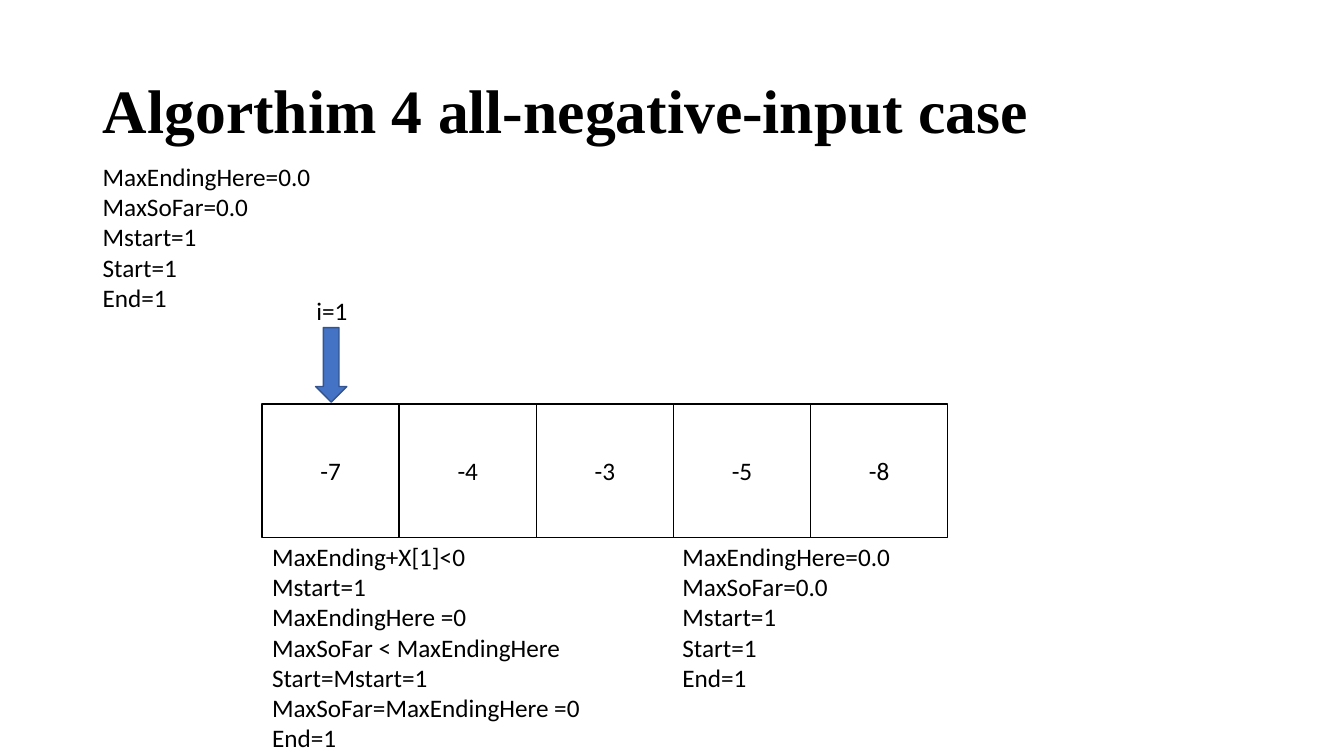
import pptx
import pptx.util
import pptx.dml.color
import pptx.enum.shapes
import pptx.enum.text

Inches = pptx.util.Inches
Pt = pptx.util.Pt
SHAPE = pptx.enum.shapes.MSO_SHAPE
ALIGN = pptx.enum.text.PP_ALIGN
ANCHOR = pptx.enum.text.MSO_ANCHOR
AUTO = pptx.enum.text.MSO_AUTO_SIZE

BODY = {"name": "Calibri", "size": Pt(18), "bold": False}
HEADING = {"name": "Times New Roman", "size": Pt(44), "bold": True}


def rgb(color):
    return pptx.dml.color.RGBColor.from_string(color)


def write(sp, lines, style, align=ALIGN.LEFT, anchor=ANCHOR.TOP, fit=AUTO.NONE):
    """Fill a shape with one formatted paragraph per line."""
    tf = sp.text_frame
    frame = {"word_wrap": True, "auto_size": fit, "vertical_anchor": anchor}
    for key, value in frame.items():
        setattr(tf, key, value)
    tf.text = "\n".join(lines)
    for p in tf.paragraphs:
        p.alignment = align
        for r in p.runs:
            for key, value in style.items():
                setattr(r.font, key, value)
            r.font.color.rgb = rgb("000000")


prs = pptx.Presentation()
prs.slide_width = Inches(13.33)
prs.slide_height = Inches(7.5)
s = prs.slides.add_slide(prs.slide_layouts[5])

title = s.shapes.title
title_box = {"left": 0.92, "top": 0.4, "width": 11.5, "height": 1.45}
for key, value in title_box.items():
    setattr(title, key, Inches(value))
write(title, ["Algorthim 4 all-negative-input case"], HEADING, anchor=ANCHOR.MIDDLE)
title.text_frame.paragraphs[0].line_spacing = 0.9

# Input array and the arrow at its current element
array_left, array_top, cell_w, cell_h = 2.6, 4.01, 1.36, 1.32
shapes = [
    (SHAPE.RECTANGLE, array_left + i * cell_w, array_top, cell_w, cell_h,
     "FFFFFF", "000000", value)
    for i, value in enumerate(["-7", "-4", "-3", "-5", "-8"])
]
shapes.append((SHAPE.DOWN_ARROW, 3.13, 3.25, 0.31, 0.74, "4472C4", "325491", ""))
for kind, left, top, width, height, fill, line, label in shapes:
    sp = s.shapes.add_shape(kind, Inches(left), Inches(top), Inches(width), Inches(height))
    sp.shadow.inherit = False
    sp.fill.solid()
    sp.fill.fore_color.rgb = rgb(fill)
    sp.line.color.rgb = rgb(line)
    sp.line.width = Pt(1)
    if label:
        write(sp, [label], BODY, ALIGN.CENTER, ANCHOR.MIDDLE)

# Variable values before, during and after the step
state = ["MaxEndingHere=0.0", "MaxSoFar=0.0", "Mstart=1", "Start=1", "End=1"]
step = [
    "MaxEnding+X[1]<0",
    "Mstart=1",
    "MaxEndingHere =0",
    "MaxSoFar < MaxEndingHere",
    "Start=Mstart=1",
    "MaxSoFar=MaxEndingHere =0",
    "End=1",
]
notes_top = 5.32
for left, top, width, height, lines in [
    (3.04, 2.88, 5.67, 0.4, ["i=1"]),
    (0.92, 1.55, 2.43, 1.62, state),
    (array_left, notes_top, 3.63, 2.22, step),
    (6.67, notes_top, 5.67, 1.62, state),
]:
    sp = s.shapes.add_textbox(Inches(left), Inches(top), Inches(width), Inches(height))
    write(sp, lines, BODY, fit=AUTO.SHAPE_TO_FIT_TEXT)

prs.save("out.pptx")
